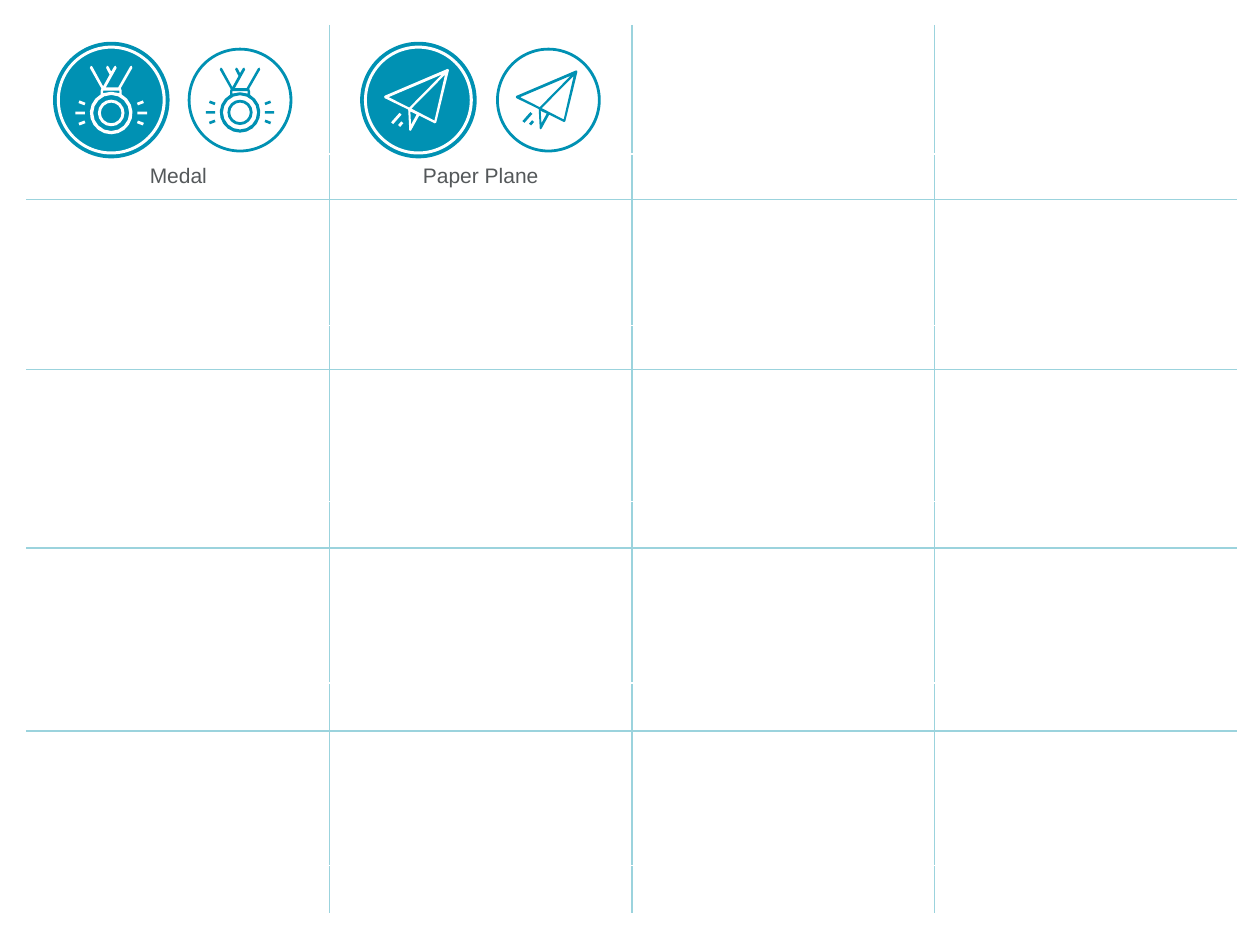
from math import atan2, cos, hypot, pi, sin

from lxml.etree import SubElement
from pptx import Presentation
from pptx.dml.color import RGBColor
from pptx.enum.shapes import MSO_SHAPE
from pptx.enum.text import MSO_ANCHOR, PP_ALIGN
from pptx.oxml.ns import qn
from pptx.util import Pt

TEAL = RGBColor(0x00, 0x91, 0xB3)
PALE_TEAL = RGBColor(0x9B, 0xD3, 0xDD)
GRAY = RGBColor(0x54, 0x58, 0x5A)
WHITE = RGBColor(0xFF, 0xFF, 0xFF)

# Grid: alternating icon rows and caption rows, in points
COLUMN_WIDTH = 172.8
ROW_HEIGHTS = [73.4, 25.9, 72, 25.2, 75.6, 26.6, 77, 27.4, 77, 27.4]
CAPTIONS = ["Medal", "Paper Plane"]
ICON_Y = 57.2
OUTLINE_SCALE = 0.95


def arc(x, y, radius, start=0.0, end=2 * pi, steps=16):
    return [(x + radius * cos(start + (end - start) * i / steps),
             y + radius * sin(start + (end - start) * i / steps))
            for i in range(steps + 1)]


def dash(x1, y1, x2, y2, radius=0.8):
    """Four corners of a short stroke."""
    angle = atan2(y2 - y1, x2 - x1) + pi / 2
    dx, dy = radius * cos(angle), radius * sin(angle)
    return [(x1 + dx, y1 + dy), (x2 + dx, y2 + dy),
            (x2 - dx, y2 - dy), (x1 - dx, y1 - dy)]


def medal_contours():
    """Medal outlines in points around the centre of its circle."""
    disc_y = 7.4
    neck_x, neck_y = 6, -3.2
    neck_angle = atan2(neck_y - disc_y, neck_x)
    disc_radius = hypot(neck_x, neck_y - disc_y)
    ribbon = [(-6, -5.4), (-5.6, -6.6), (-12.2, -18.3), (-11.6, -19.6),
              (-10.8, -19.1), (-4.6, -7.8), (-0.9, -14.5), (-2.9, -18.3),
              (-2.4, -19.6), (-1.5, -19.1), (0, -16.2), (1.7, -19.1),
              (2.5, -19.6), (3.1, -18.3), (-3.1, -7.2), (4, -7.2),
              (10.8, -19.1), (11.7, -19.6), (12.1, -18.3), (5.5, -6.8),
              (6, -5.4)]
    band = [(-4.6, -5.4), (4.6, -5.4), (4.6, -3.9), (0, -4.7), (-4.6, -3.9)]
    rays = [dash(side * 15, disc_y + near, side * far_x, disc_y + far)
            for side in (-1, 1)
            for near, far_x, far in ((-5.1, 18.4, -6.4), (0, 20.5, 0),
                                     (5.1, 18.4, 6.4))]
    return [arc(0, disc_y, disc_radius, neck_angle, pi - neck_angle) + ribbon,
            band, arc(0, disc_y, 10.3), arc(0, disc_y, 7.6),
            arc(0, disc_y, 5.9), *rays]


def plane_contours():
    """Paper plane outlines in points around the centre of its circle."""
    body = [(16.6, -17.8), (-19.2, -2.5), (-19.6, -1.8), (-19.2, -1.1),
            (-5.8, 5.4), (-5.2, 17), (-4.8, 17.6), (-4.1, 17.2),
            (0.5, 8.8), (9.4, 13.3), (10.2, 12.8), (17.4, -16.8),
            (17.3, -17.6)]
    wing = [(9.2, 11.7), (-4, 4.9), (15.2, -14.5)]
    keel = [(-4.2, 14), (-4.6, 6.5), (-1, 8.2)]
    far_wing = [(-5.2, 4.3), (-17, -1.7), (13.4, -14.6)]
    return [body, wing, keel, far_wing,
            dash(-11, 14.8, -9.2, 12.7), dash(-15, 13.2, -10.2, 7.8)]


def paint(shape, color):
    shape.shadow.inherit = False
    shape.fill.solid()
    shape.fill.fore_color.rgb = color
    shape.line.fill.background()


def add_round(shapes, preset, x, diameter, color, thickness=None):
    disc = shapes.add_shape(preset, Pt(x - diameter / 2),
                            Pt(ICON_Y - diameter / 2),
                            Pt(diameter), Pt(diameter))
    if thickness:
        disc.adjustments[0] = thickness / diameter
    paint(disc, color)


def add_glyph(shapes, contours, x, color, scale=1.0):
    placed = [[(Pt(x + px * scale), Pt(ICON_Y + py * scale))
               for px, py in contour] for contour in contours]
    builder = shapes.build_freeform(*placed[0][0])
    builder.add_line_segments(placed[0][1:], close=True)
    for contour in placed[1:]:
        builder.move_to(*contour[0])
        builder.add_line_segments(contour[1:], close=True)
    paint(builder.convert_to_shape(), color)


def add_outline_icon(slide, contours, x):
    icon = slide.shapes.add_group_shape().shapes
    add_round(icon, MSO_SHAPE.DONUT, x, 59.8, TEAL, thickness=1.6)
    add_glyph(icon, contours, x, TEAL, OUTLINE_SCALE)


def add_solid_icon(slide, contours, x):
    icon = slide.shapes.add_group_shape().shapes
    add_round(icon, MSO_SHAPE.OVAL, x, 66.6, TEAL)
    add_round(icon, MSO_SHAPE.DONUT, x, 62.2, WHITE, thickness=1.7)
    add_glyph(icon, contours, x, WHITE)


def write(cell, text, size=12, font="Arial", color=GRAY,
          align=PP_ALIGN.CENTER):
    paragraph = cell.text_frame.paragraphs[0]
    paragraph.alignment = align
    run = paragraph.add_run()
    run.text = text
    run.font.size = Pt(size)
    run.font.name = font
    run.font.color.rgb = color


def set_borders(cell, sides):
    """Rule the given sides, in the order left, right, top, bottom."""
    properties = cell._tc.get_or_add_tcPr()
    for index, side in enumerate(sides):
        border = SubElement(properties, qn(f"a:ln{side}"), w=str(Pt(1)))
        fill = SubElement(border, qn("a:solidFill"))
        SubElement(fill, qn("a:srgbClr"), val=str(PALE_TEAL))
        properties.insert(index, border)


def add_grid(slide, columns=4):
    rows = len(ROW_HEIGHTS)
    grid = slide.shapes.add_table(
        rows, columns, Pt(15.5), Pt(14.6),
        Pt(COLUMN_WIDTH * columns), Pt(sum(ROW_HEIGHTS))).table
    grid.first_row = grid.horz_banding = False
    for column in grid.columns:
        column.width = Pt(COLUMN_WIDTH)
    for r, height in enumerate(ROW_HEIGHTS):
        grid.rows[r].height = Pt(height)
        is_caption = r % 2 == 1
        for c in range(columns):
            cell = grid.cell(r, c)
            cell.fill.solid()
            cell.fill.fore_color.rgb = WHITE
            cell.vertical_anchor = MSO_ANCHOR.MIDDLE
            cell.margin_left = cell.margin_right = Pt(0)
            cell.margin_top = cell.margin_bottom = Pt(0)
            sides = {"L": c > 0, "R": c < columns - 1,
                     "T": r > 0 and not is_caption,
                     "B": is_caption and r < rows - 1}
            set_borders(cell, [side for side, shown in sides.items() if shown])
    return grid


def main():
    presentation = Presentation()
    presentation.slide_width, presentation.slide_height = Pt(720), Pt(540)
    slide = presentation.slides.add_slide(presentation.slide_layouts[6])

    # Ruled grid with captions
    grid = add_grid(slide)
    for column, caption in enumerate(CAPTIONS):
        write(grid.cell(1, column), caption)

    # Each icon in an outlined and a solid version
    for contours, solid_x, outline_x in ((medal_contours(), 63.6, 137.2),
                                         (plane_contours(), 239.1, 313.4)):
        add_outline_icon(slide, contours, outline_x)
        add_solid_icon(slide, contours, solid_x)

    presentation.save("out.pptx")


if __name__ == "__main__":
    main()
